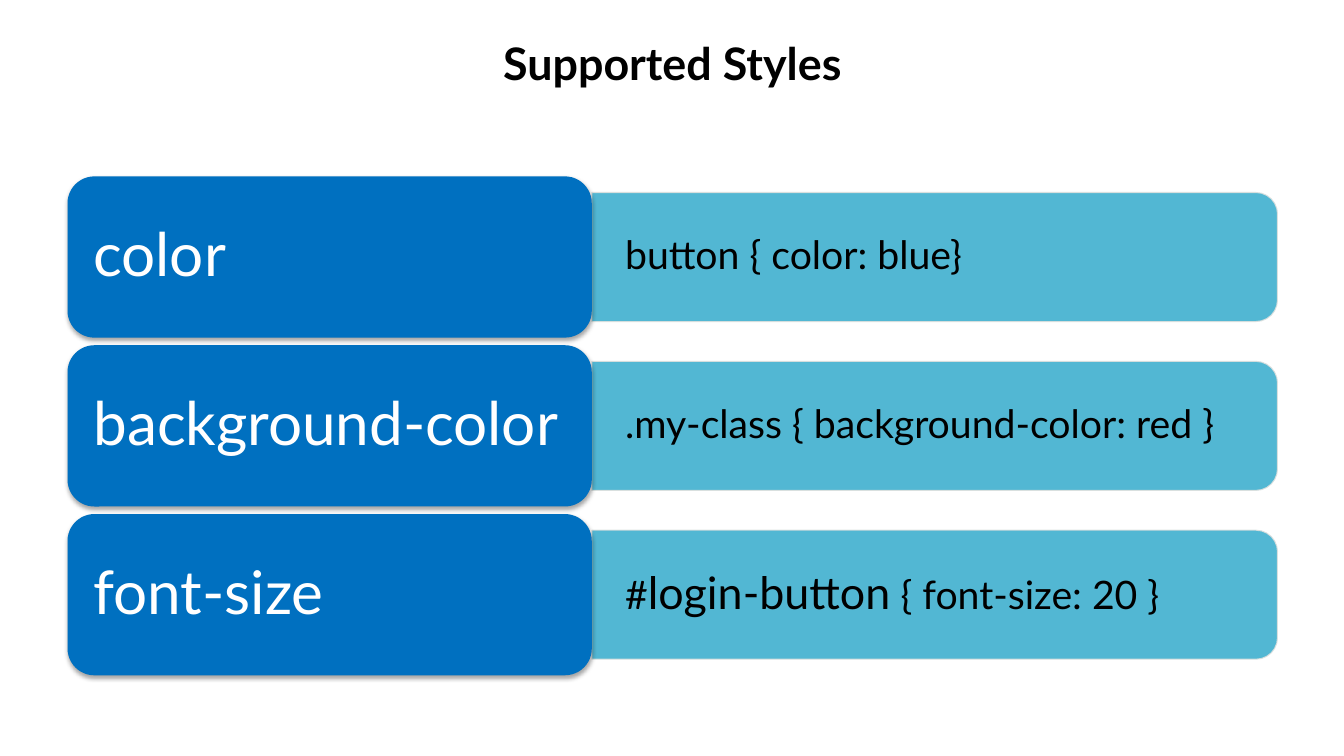
import pptx
import pptx.dml.color
import pptx.enum.shapes
import pptx.enum.text
import pptx.oxml
import pptx.oxml.ns
import pptx.util

Inches = pptx.util.Inches
Pt = pptx.util.Pt
ANCHOR = pptx.enum.text.MSO_ANCHOR
ALIGN = pptx.enum.text.PP_ALIGN
SHAPE = pptx.enum.shapes.MSO_SHAPE

LEFT, TOP = 0.67, 1.75
LABEL_WIDTH, LABEL_HEIGHT = 5.2, 1.6
RULE_WIDTH, RULE_HEIGHT = 6.8, 1.28
ROW_PITCH = 3.35 / 2

STYLES = [
    ("color", [("button { color: blue}", 28)]),
    ("background-color", [(".my-class { background-color: red }", 28)]),
    ("font-size", [("#", 28), ("login-button", 32), (" { font-size: 20 }", 28)]),
]


def colour(value):
    return pptx.dml.color.RGBColor.from_string(value)


def write(box, spans, color="000000", bold=False, align=ALIGN.LEFT,
          anchor=ANCHOR.MIDDLE, inset=(0.1, 0.05), spacing=None):
    frame = box.text_frame
    frame.word_wrap = True
    frame.vertical_anchor = anchor
    frame.margin_left = frame.margin_right = Inches(inset[0])
    frame.margin_top = frame.margin_bottom = Inches(inset[1])
    para = frame.paragraphs[0]
    para.alignment = align
    para.line_spacing = spacing
    for text, size in spans:
        span = para.add_run()
        span.text = text
        span.font.name = "Lato"
        span.font.size = Pt(size)
        span.font.bold = bold
        span.font.color.rgb = colour(color)


class StylePage:
    label_fill = "0070C0"
    rule_fill = "40B0CF"
    rule_line = "DCE0DE"

    def __init__(self, deck):
        self.page = deck.slides.add_slide(deck.slide_layouts[5])

    def title(self, text):
        box = self.page.shapes.title
        box.left, box.top = Inches(LEFT), Inches(0.3)
        box.width, box.height = Inches(12), Inches(1.25)
        write(box, [(text, 32)], bold=True, align=ALIGN.CENTER, anchor=ANCHOR.TOP)

    def shape(self, kind, left, top, width, height, fill):
        shape = self.page.shapes.add_shape(
            kind, Inches(left), Inches(top), Inches(width), Inches(height))
        shape.shadow.inherit = False
        shape.fill.solid()
        shape.fill.fore_color.rgb = colour(fill)
        shape.line.fill.background()
        return shape

    def rule(self, top, spans):
        left = LEFT + LABEL_WIDTH
        shift = (RULE_WIDTH - RULE_HEIGHT) / 2
        panel = self.shape(SHAPE.ROUND_2_SAME_RECTANGLE, left + shift, top - shift,
                           RULE_HEIGHT, RULE_WIDTH, self.rule_fill)
        panel.rotation = 90
        panel.line.color.rgb = colour(self.rule_line)
        panel.line.width = Pt(0.75)
        for tint in panel._element.spPr.iter(pptx.oxml.ns.qn("a:srgbClr")):
            tint.append(pptx.oxml.parse_xml(
                f'<a:alpha {pptx.oxml.ns.nsdecls("a")} val="90000"/>'))
        box = self.page.shapes.add_textbox(
            Inches(left), Inches(top), Inches(RULE_WIDTH), Inches(RULE_HEIGHT))
        write(box, spans, inset=(0.33, 0.14), spacing=0.9)

    def label(self, top, text):
        card = self.shape(SHAPE.ROUNDED_RECTANGLE, LEFT, top,
                          LABEL_WIDTH, LABEL_HEIGHT, self.label_fill)
        effects = card._element.spPr.find(pptx.oxml.ns.qn("a:effectLst"))
        effects.append(pptx.oxml.parse_xml(
            f'<a:outerShdw {pptx.oxml.ns.nsdecls("a")} blurRad="{Pt(3.1)}" '
            f'dist="{Pt(1.8)}" dir="5400000" rotWithShape="0">'
            '<a:srgbClr val="000000"><a:alpha val="35000"/></a:srgbClr>'
            '</a:outerShdw>'))
        write(card, [(text, 43)], color="FFFFFF", inset=(0.18, 0.09), spacing=0.9)


def main():
    deck = pptx.Presentation()
    deck.slide_width, deck.slide_height = Inches(13.33), Inches(7.5)
    page = StylePage(deck)
    page.title("Supported Styles")
    for row, (name, spans) in enumerate(STYLES):
        top = TOP + row * ROW_PITCH
        page.rule(top + (LABEL_HEIGHT - RULE_HEIGHT) / 2, spans)
        page.label(top, name)
    deck.save("out.pptx")


if __name__ == "__main__":
    main()
